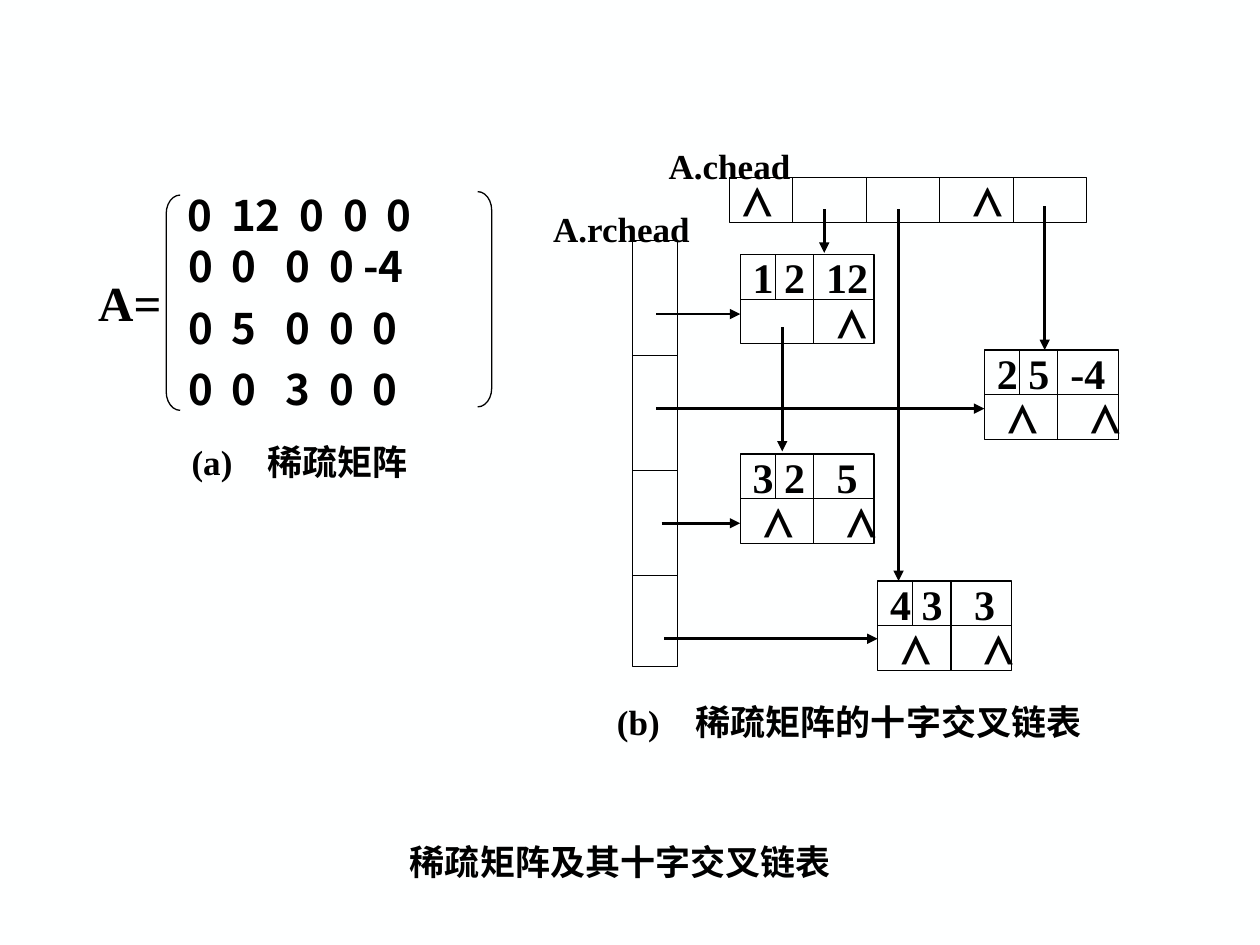
from lxml import etree
from pptx import Presentation
from pptx.dml.color import RGBColor
from pptx.enum.shapes import MSO_CONNECTOR, MSO_SHAPE
from pptx.enum.text import MSO_ANCHOR, MSO_AUTO_SIZE, PP_ALIGN
from pptx.oxml.ns import qn
from pptx.util import Pt

STRAIGHT = MSO_CONNECTOR.STRAIGHT
RECTANGLE = MSO_SHAPE.RECTANGLE
LEFT_BRACKET, RIGHT_BRACKET = MSO_SHAPE.LEFT_BRACKET, MSO_SHAPE.RIGHT_BRACKET
MIDDLE = MSO_ANCHOR.MIDDLE
NO_FIT = MSO_AUTO_SIZE.NONE
LEFT, CENTER = PP_ALIGN.LEFT, PP_ALIGN.CENTER
SERIF, SANS, CJK = "Times New Roman", "Arial", "Noto Sans CJK SC"
INK, PAPER = "000000", "FEFFFF"
THIN, THICK = 0.75, 1.5
CELL = 25.5
NODE_WIDTH = 76.5
NODE_DIVIDERS = (20, 42)
BOTH_NULL = ("\t⋀\t⋀", (6, 53.4))


def color(value):
    return RGBColor.from_string(value)


class Diagram:
    """Draws styled elements on the current slide."""

    def __init__(self, page):
        self.page = page
        page.background.fill.solid()
        page.background.fill.fore_color.rgb = color(PAPER)

    def text(self, box, spans, size, tabs=(), align=LEFT, wrap=False, inset=7.2):
        frame = box.text_frame
        formats = {"auto_size": NO_FIT, "word_wrap": wrap, "vertical_anchor": MIDDLE,
                   "margin_left": Pt(inset), "margin_right": Pt(7.2),
                   "margin_top": Pt(3.6), "margin_bottom": Pt(3.6)}
        for name, value in formats.items():
            setattr(frame, name, value)
        para = frame.paragraphs[0]
        para.alignment = align
        if tabs:
            stops = etree.SubElement(para._p.get_or_add_pPr(), qn("a:tabLst"))
            for stop in tabs:
                etree.SubElement(stops, qn("a:tab"), pos=str(Pt(stop)), algn="l")
        for wording, font in spans:
            span = para.add_run()
            span.text = wording
            for name, value in {"name": font, "size": Pt(size), "bold": True}.items():
                setattr(span.font, name, value)
            span.font.color.rgb = color(INK)
            etree.SubElement(span._r.get_or_add_rPr(), qn("a:ea"), typeface=CJK)

    def title(self, place, spans, size):
        box = self.page.shapes.title
        box.left, box.top, box.width, box.height = map(Pt, place)
        self.text(box, spans, size, align=CENTER, wrap=True)

    def label(self, place, spans, size, tabs=(), inset=7.2):
        box = self.page.shapes.add_textbox(*map(Pt, place))
        self.text(box, spans, size, tabs, inset=inset)

    def shape(self, kind, place):
        box = self.page.shapes.add_shape(kind, *map(Pt, place))
        box.shadow.inherit = False
        box.fill.background()
        box.line.color.rgb = color(INK)
        box.line.width = Pt(THIN)
        return box

    def bracket(self, kind, place):
        self.shape(kind, place).adjustments[0] = 1.333

    def cell(self, place, wording, tabs):
        self.text(self.shape(RECTANGLE, place), [(wording, SERIF)], 24, tabs)

    def line(self, ends, width=THIN):
        line = self.page.shapes.add_connector(STRAIGHT, *map(Pt, ends))
        line.line.color.rgb = color(INK)
        line.line.width = Pt(width)
        etree.SubElement(line._element.spPr, qn("a:effectLst"))
        return line

    def arrow(self, ends):
        outline = self.line(ends, THICK)._element.spPr.find(qn("a:ln"))
        etree.SubElement(outline, qn("a:tailEnd"), type="triangle")

    def node(self, left, top, entry, links):
        for row, (wording, tabs) in enumerate((entry, links)):
            self.cell((left, top + row * CELL, NODE_WIDTH, CELL), wording, tabs)
        for offset, rows in zip(NODE_DIVIDERS, (1, 2)):
            self.line((left + offset, top, left + offset, top + rows * CELL))


def main():
    deck = Presentation()
    deck.slide_width, deck.slide_height = Pt(720), Pt(540)
    diagram = Diagram(deck.slides.add_slide(deck.slide_layouts[5]))

    diagram.title((183.5, 477.5, 342, 30), [("稀疏", SANS), ("矩阵", CJK), ("及其", SERIF),
                                            ("十字交叉链表", CJK)], 20)

    matrix = [(100, 109.5, "0\t12\t0\t0\t0", (25, 64, 89, 114)),
              (100.5, 139, "0\t0\t0\t0 -4", (25, 55.5, 80.5)),
              (100.5, 174.5, "0\t5\t0\t0\t0", (25, 55.5, 80.5, 105.5)),
              (100.5, 209, "0\t0\t3\t0\t0", (25, 55.5, 80.5, 105.5))]
    for left, top, row, tabs in matrix:
        diagram.label((left, top, 168.5, 26), [(row, CJK)], 24, tabs)
    diagram.bracket(LEFT_BRACKET, (95, 111.5, 8, 123))
    diagram.bracket(RIGHT_BRACKET, (273, 109.5, 8, 123))

    names = [("A=", 49, 158.5, 46, 28), ("A.chead", 375, 80.5, 73.5, 20),
             ("A.rchead", 309, 116.5, 73.5, 20)]
    for name, left, top, width, size in names:
        diagram.label((left, top, width, 28), [(name, SERIF)], size)

    captions = [("(a)\t", "矩阵", (97, 251.5, 150, 24), 43.5, 12.5),
                ("(b)\t", "矩阵的十字交叉链表", (343.5, 400.5, 286, 24), 45, 9)]
    for mark, ending, place, tab, inset in captions:
        diagram.label(place, [(mark, SERIF), ("稀疏", SANS), (ending, CJK)], 20, [tab], inset)

    diagram.cell((417, 101.5, 204, CELL), "⋀\t⋀", [131.5])
    for column in range(4):
        left = 453 + 42 * column
        diagram.line((left, 101.5, left, 101.5 + CELL))
    diagram.shape(RECTANGLE, (361.5, 137.5, CELL, 243.5))
    for top in (203, 269, 329):
        diagram.line((361.5, top, 361.5 + CELL, top))

    nodes = [(423, 145.5, ("1 2\t12", [42]), ("\t⋀", [48])),
             (423, 259.5, ("3 2\t5", [48]), BOTH_NULL),
             (562.5, 200, ("2 5\t-4", [42]), BOTH_NULL),
             (501.5, 332, ("4 3\t3", [48]), BOTH_NULL)]
    for node in nodes:
        diagram.node(*node)

    for left, start, end in [(471, 119.5, 144.5), (513.5, 119.5, 332),
                             (597, 118, 200), (447, 187, 258)]:
        diagram.arrow((left, start, left, end))
    for top, start, end in [(179.5, 375, 423), (233.5, 375, 562.5),
                            (299, 378, 423), (365, 379.5, 501.5)]:
        diagram.arrow((start, top, end, top))

    deck.save("out.pptx")


if __name__ == "__main__":
    main()
